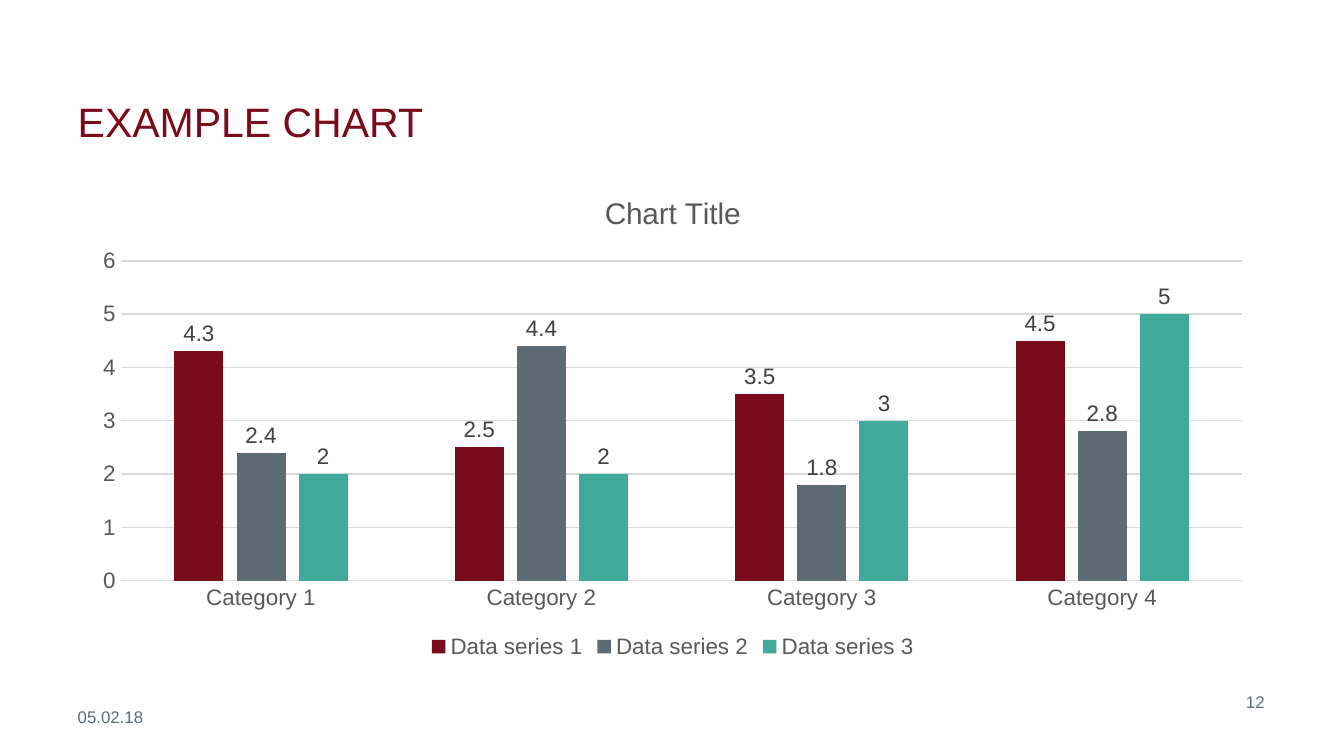
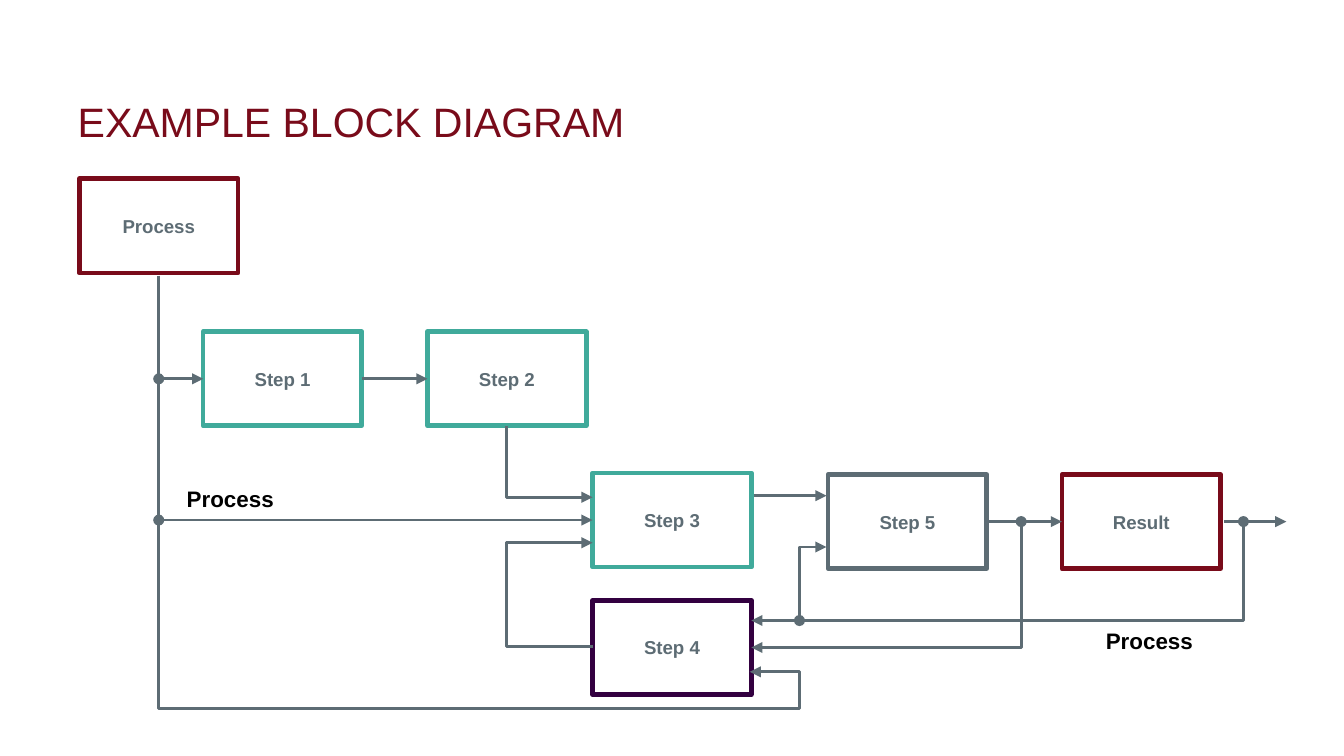
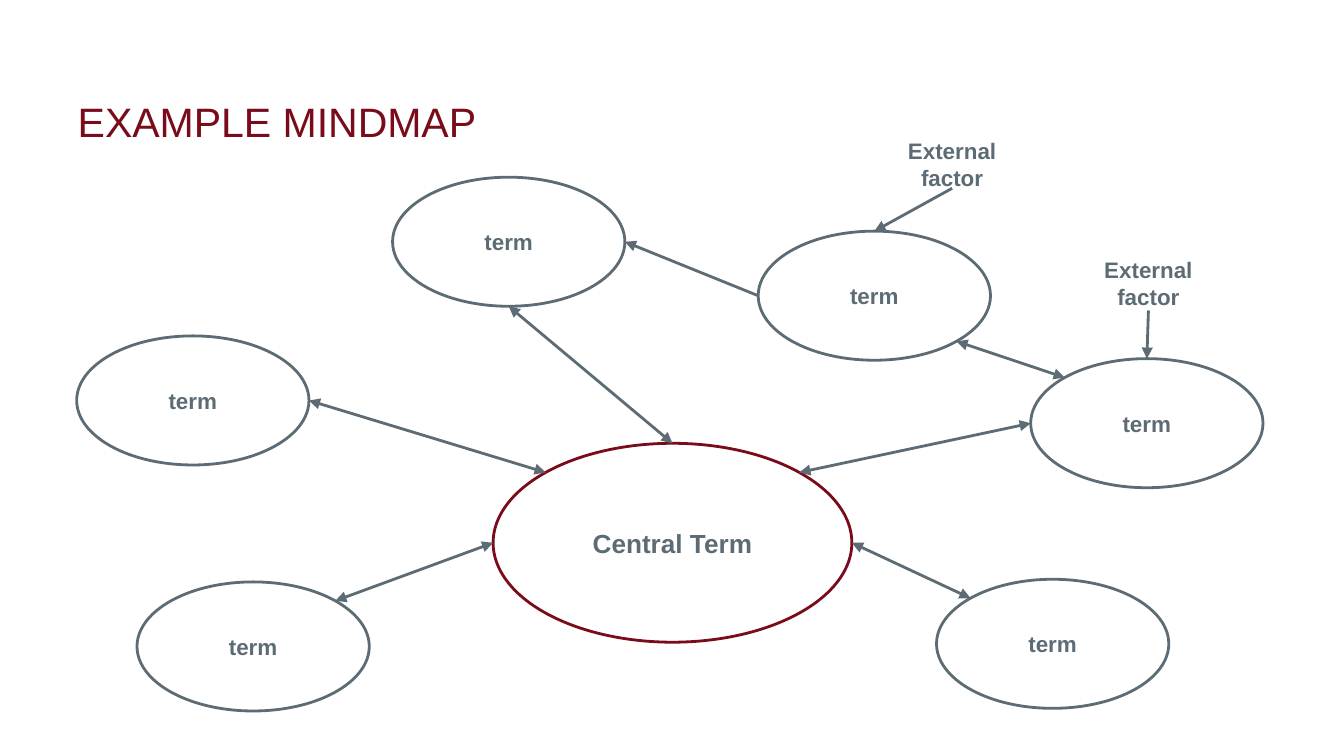
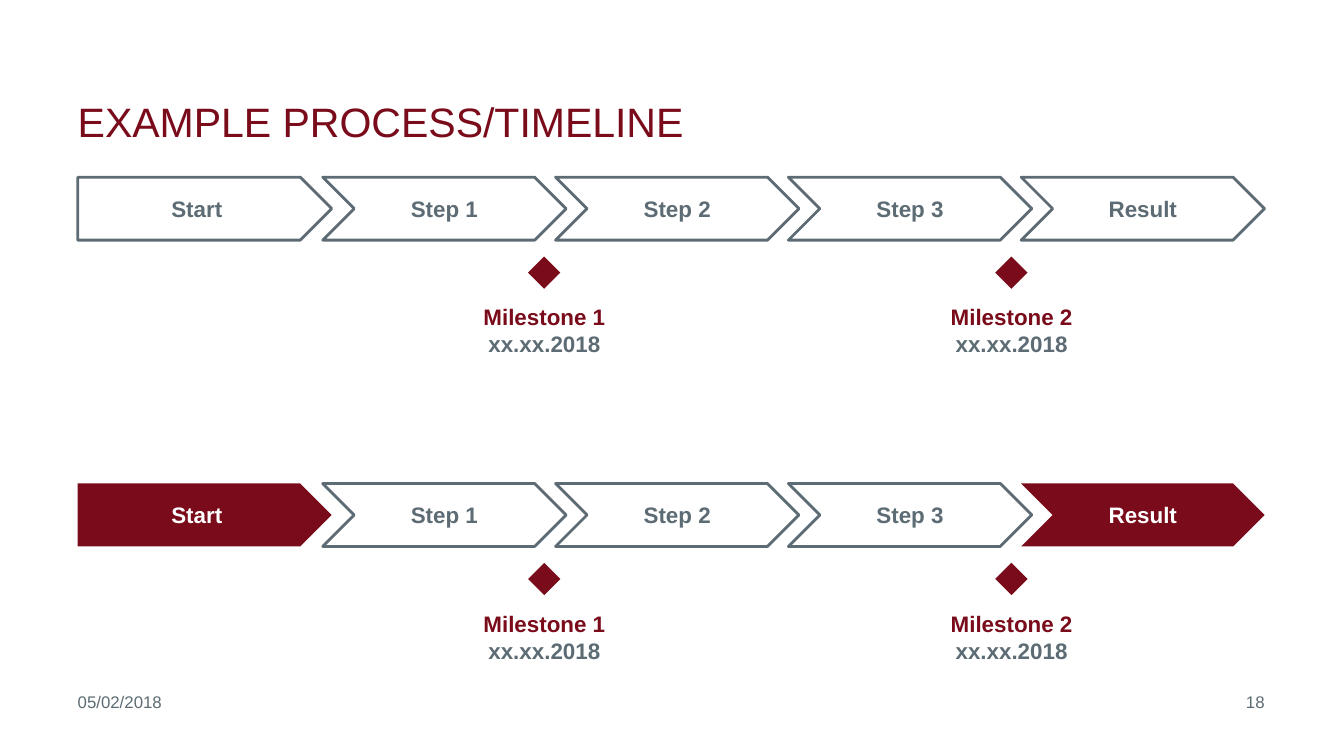
from dataclasses import dataclass
from math import cos, radians, sin
from typing import NamedTuple

from lxml.etree import SubElement
from pptx import Presentation
from pptx.chart.data import CategoryChartData
from pptx.dml.color import RGBColor
from pptx.enum.chart import XL_CHART_TYPE as ChartType
from pptx.enum.chart import XL_LABEL_POSITION as LabelPos
from pptx.enum.chart import XL_LEGEND_POSITION as LegendPos
from pptx.enum.chart import XL_TICK_MARK as Tick
from pptx.enum.shapes import MSO_CONNECTOR as Conn
from pptx.enum.shapes import MSO_SHAPE as Shape
from pptx.enum.text import MSO_ANCHOR as Anchor
from pptx.enum.text import MSO_AUTO_SIZE as AutoSize
from pptx.enum.text import PP_ALIGN as Align
from pptx.oxml.ns import qn
from pptx.util import Cm, Pt


@dataclass(frozen=True)
class Theme:
    font: str = "Arial"
    red: str = "790B1A"
    grey: str = "5D6C74"
    teal: str = "40AA9B"
    purple: str = "330040"
    black: str = "000000"
    white: str = "FFFFFF"
    chart_text: str = "595959"
    chart_label: str = "404040"
    grid: str = "D9D9D9"
    title: float = 22
    chart_title: float = 16
    central: float = 14
    body: float = 12
    small: float = 10
    footer: float = 9
    line: float = 1.5
    box_line: float = 2.5
    hairline: float = 0.75


T = Theme()


class Frame(NamedTuple):
    """Left, top, width and height in centimetres."""
    x: float
    y: float
    w: float
    h: float


class Point(NamedTuple):
    x: float
    y: float


class Box(NamedTuple):
    text: str
    x: float
    y: float
    color: str


class Route(NamedTuple):
    points: list[tuple[float, float]]
    head: str = ""
    tail: str = "triangle"


@dataclass(frozen=True)
class Oval:
    text: str
    frame: Frame
    color: str = T.grey
    size: float = T.body

    def at(self, angle: float) -> Point:
        """Point on the outline; 0 is right and angles run clockwise."""
        f = self.frame
        a = radians(angle)
        return Point(f.x + f.w / 2 * (1 + cos(a)), f.y + f.h / 2 * (1 + sin(a)))


class Link(NamedTuple):
    start: Point
    end: Point
    tail: str = "triangle"


def rgb(color: str) -> RGBColor:
    return RGBColor.from_string(color)


def set_font(font, size: float, color: str, bold: bool = False) -> None:
    font.name, font.size, font.bold = T.font, Pt(size), bold
    font.color.rgb = rgb(color)


def set_line(line, color: str, width: float) -> None:
    line.color.rgb = rgb(color)
    line.width = Pt(width)


def write(tf, *lines: str, colors: tuple[str, ...] = (T.grey,), size: float = T.body,
          bold: bool = False, align=Align.LEFT, anchor=Anchor.TOP, inset: bool = False,
          wrap: bool = True, before: float = 0) -> None:
    """Write one paragraph whose lines are parted by breaks, one colour per line."""
    tf.word_wrap = wrap
    tf.vertical_anchor = anchor
    if not wrap:
        tf.auto_size = AutoSize.SHAPE_TO_FIT_TEXT
    if not inset:
        tf.margin_left = tf.margin_top = tf.margin_right = tf.margin_bottom = 0
    p = tf.paragraphs[0]
    p.alignment = align
    p.space_before = Pt(before)
    for i, (text, color) in enumerate(zip(lines, colors)):
        if i:
            p.add_line_break()
        r = p.add_run()
        r.text = text
        set_font(r.font, size, color, bold)


def add_text(s, frame: Frame, *lines: str, **style) -> None:
    write(s.shapes.add_textbox(*map(Cm, frame)).text_frame, *lines, **style)


def add_shape(s, kind, frame: Frame, text: str = "", fill: str = "", line: str = "",
              width: float = T.line, **style):
    sp = s.shapes.add_shape(kind, *map(Cm, frame))
    sp.shadow.inherit = False
    if fill:
        sp.fill.solid()
        sp.fill.fore_color.rgb = rgb(fill)
    else:
        sp.fill.background()
    if line:
        set_line(sp.line, line, width)
    else:
        sp.line.fill.background()
    if text:
        write(sp.text_frame, text, bold=True, align=Align.CENTER,
              anchor=Anchor.MIDDLE, **style)
    return sp


def add_ends(sp, head: str, tail: str) -> None:
    ln = sp.element.spPr.find(qn("a:ln"))
    for tag, kind in (("a:headEnd", head), ("a:tailEnd", tail)):
        if kind:
            SubElement(ln, qn(tag), type=kind)


def add_line(s, start: tuple[float, float], end: tuple[float, float],
             head: str = "", tail: str = "triangle"):
    c = s.shapes.add_connector(Conn.STRAIGHT, *map(Cm, (*start, *end)))
    set_line(c.line, T.grey, T.line)
    add_ends(c, head, tail)
    SubElement(c.element.spPr, qn("a:effectLst"))
    return c


def add_route(s, route: Route) -> None:
    first, *rest = [(Cm(x), Cm(y)) for x, y in route.points]
    builder = s.shapes.build_freeform(*first)
    builder.add_line_segments(rest, close=False)
    sp = builder.convert_to_shape()
    sp.shadow.inherit = False
    sp.fill.background()
    set_line(sp.line, T.grey, T.line)
    add_ends(sp, route.head, route.tail)


def add_slide(prs, title: str):
    s = prs.slides.add_slide(prs.slide_layouts[6])
    add_text(s, Frame(1.47, 0.74, 17.42, 2.01), title, size=T.title,
             colors=(T.red,), anchor=Anchor.BOTTOM)
    return s


def add_footer(s, date: str, number: str, date_top: float = 13.08) -> None:
    add_text(s, Frame(18.85, 13.08, 5.05, 0.48), number, size=T.footer, align=Align.RIGHT)
    add_text(s, Frame(1.47, date_top, 5.31, 0.48), date, size=T.footer)


def chart_slide(prs) -> None:
    s = add_slide(prs, "EXAMPLE CHART")
    add_footer(s, "05.02.18", "12", date_top=13.36)

    data = CategoryChartData()
    data.categories = [f"Category {i}" for i in range(1, 5)]
    rows = ((4.3, 2.5, 3.5, 4.5), (2.4, 4.4, 1.8, 2.8), (2, 2, 3, 5))
    for i, values in enumerate(rows, 1):
        data.add_series(f"Data series {i}", values)
    frame = Frame(1.5, 3.25, 22.43, 9.3)
    chart = s.shapes.add_chart(ChartType.COLUMN_CLUSTERED, *map(Cm, frame), data).chart
    set_font(chart.font, T.small, T.black)

    chart.has_title = True
    tf = chart.chart_title.text_frame
    tf.text = "Chart Title"
    set_font(tf.paragraphs[0].runs[0].font, T.chart_title, T.chart_text)
    chart.chart_title.include_in_layout = False

    chart.has_legend = True
    chart.legend.position = LegendPos.BOTTOM
    chart.legend.include_in_layout = False
    set_font(chart.legend.font, T.body, T.chart_text)

    cat, val = chart.category_axis, chart.value_axis
    for axis in (cat, val):
        axis.major_tick_mark = axis.minor_tick_mark = Tick.NONE
        set_font(axis.tick_labels.font, T.body, T.chart_text)
    set_line(cat.format.line, T.grid, T.hairline)
    val.format.line.fill.background()
    val.minimum_scale, val.maximum_scale, val.major_unit = 0, 6, 1
    val.has_major_gridlines = True
    set_line(val.major_gridlines.format.line, T.grid, T.hairline)

    plot = chart.plots[0]
    plot.vary_by_categories = False
    plot.gap_width, plot.overlap = 219, -27
    for series, color in zip(plot.series, (T.red, T.grey, T.teal)):
        series.format.fill.solid()
        series.format.fill.fore_color.rgb = rgb(color)
        labels = series.data_labels
        labels.show_value = True
        labels.position = LabelPos.OUTSIDE_END
        set_font(labels.font, T.body, T.chart_label)


def block_diagram_slide(prs) -> None:
    s = add_slide(prs, "EXAMPLE BLOCK DIAGRAM")
    boxes = {
        b.text: add_shape(s, Shape.RECTANGLE, Frame(b.x, b.y, 3, 1.78), b.text,
                          fill=T.white, line=b.color, width=T.box_line,
                          size=T.small, inset=True)
        for b in (
            Box("Process", 1.5, 3.38, T.red),
            Box("Step 1", 3.84, 6.27, T.teal),
            Box("Step 2", 8.08, 6.27, T.teal),
            Box("Step 3", 11.2, 8.94, T.teal),
            Box("Step 4", 11.2, 11.35, T.purple),
            Box("Step 5", 15.65, 8.97, T.grey),
            Box("Result", 20.07, 8.97, T.red),
        )
    }
    label = dict(colors=(T.black,), bold=True, wrap=False)
    add_text(s, Frame(20.65, 11.73, 2.16, 0.76), "Process", inset=True, **label)
    add_text(s, Frame(3.53, 9.17, 1.65, 0.51), "Process", before=3, **label)

    trunk, output = 3, 9.86
    for y, target in ((9.83, "Step 3"), (7.16, "Step 1")):
        add_line(s, (trunk, y), (trunk + 1, y), head="oval").end_connect(boxes[target], 1)
    for source, target in (("Step 1", "Step 2"), ("Step 5", "Result")):
        c = add_line(s, (0, 0), (1, 1))
        c.begin_connect(boxes[source], 3)
        c.end_connect(boxes[target], 1)
    add_line(s, (14.25, 9.37), (15.62, 9.37))
    add_line(s, (23.14, output), (24.31, output))

    for route in (
        Route([(trunk, 5.21), (trunk, 13.39), (15.11, 13.39), (15.11, 12.7), (14.17, 12.7)]),
        Route([(15.11, 11.73), (15.11, 10.34), (15.62, 10.34)], head="oval"),
        Route([(9.58, 8.05), (9.58, 9.4), (11.2, 9.4)]),
        Route([(11.2, 10.26), (9.58, 10.26), (9.58, 12.22), (11.2, 12.22)],
              head="triangle", tail=""),
        Route([(19.3, output), (19.3, 12.24), (14.2, 12.24)], head="oval"),
        Route([(23.5, output), (23.5, 11.73), (14.2, 11.73)], head="oval"),
    ):
        add_route(s, route)


def mindmap_slide(prs) -> None:
    s = add_slide(prs, "EXAMPLE MINDMAP")
    factors = (Frame(16.74, 2.59, 2.51, 0.97), Frame(20.45, 4.85, 2.51, 1.02))
    for frame in factors:
        add_text(s, frame, "External factor", bold=True, align=Align.CENTER)
    upper_factor, right_factor = (Point(f.x + f.w / 2, f.y + f.h) for f in factors)

    central = Oval("Central Term", Frame(9.32, 8.38, 6.78, 3.76), T.red, T.central)
    places = ((1.45, 6.35), (7.42, 3.35), (19.48, 6.78),
              (14.33, 4.37), (17.7, 10.95), (2.59, 11))
    terms = [Oval("term", Frame(x, y, 4.39, 2.44)) for x, y in places]
    left, top, right, upper, low_right, low_left = terms
    for oval in (central, *terms):
        add_shape(s, Shape.OVAL, oval.frame, oval.text, line=oval.color, size=oval.size)

    for link in (
        Link(top.at(90), central.at(270)),
        Link(right.at(180), central.at(315)),
        Link(upper.at(45), right.at(225)),
        Link(central.at(0), low_right.at(225)),
        Link(central.at(180), low_left.at(315)),
        Link(central.at(225), left.at(0)),
        Link(top.at(0), upper.at(180), tail=""),
        Link(upper.at(270), upper_factor, tail=""),
        Link(right.at(270), right_factor, tail=""),
    ):
        add_line(s, link.start, link.end, head="triangle", tail=link.tail)


def add_timeline(s, top: float, filled_ends: bool) -> None:
    steps = ("Start", "Step 1", "Step 2", "Step 3", "Result")
    for i, text in enumerate(steps):
        if i == 0:
            kind, frame = Shape.PENTAGON, Frame(1.47, top, 4.8, 1.19)
        else:
            kind, frame = Shape.CHEVRON, Frame(6.1 + 4.4 * (i - 1), top, 4.6, 1.19)
        if filled_ends and text in ("Start", "Result"):
            add_shape(s, kind, frame, text, fill=T.red, colors=(T.white,))
        else:
            add_shape(s, kind, frame, text, line=T.grey)
    for i in range(2):
        shift = 8.83 * i
        add_shape(s, Shape.DIAMOND, Frame(9.98 + shift, top + 1.5, 0.61, 0.61), fill=T.red)
        add_text(s, Frame(8.13 + shift, top + 2.39, 4.32, 1.02),
                 f"Milestone {i + 1}", "xx.xx.2018", colors=(T.red, T.grey),
                 bold=True, align=Align.CENTER, before=4)


def timeline_slide(prs) -> None:
    s = add_slide(prs, "EXAMPLE PROCESS/TIMELINE")
    add_footer(s, "05/02/2018", "18")
    add_timeline(s, 3.35, filled_ends=False)
    add_timeline(s, 9.14, filled_ends=True)


def main() -> None:
    prs = Presentation()
    prs.slide_width, prs.slide_height = Cm(25.4), Cm(14.29)
    for build in (chart_slide, block_diagram_slide, mindmap_slide, timeline_slide):
        build(prs)
    prs.save("out.pptx")


if __name__ == "__main__":
    main()
